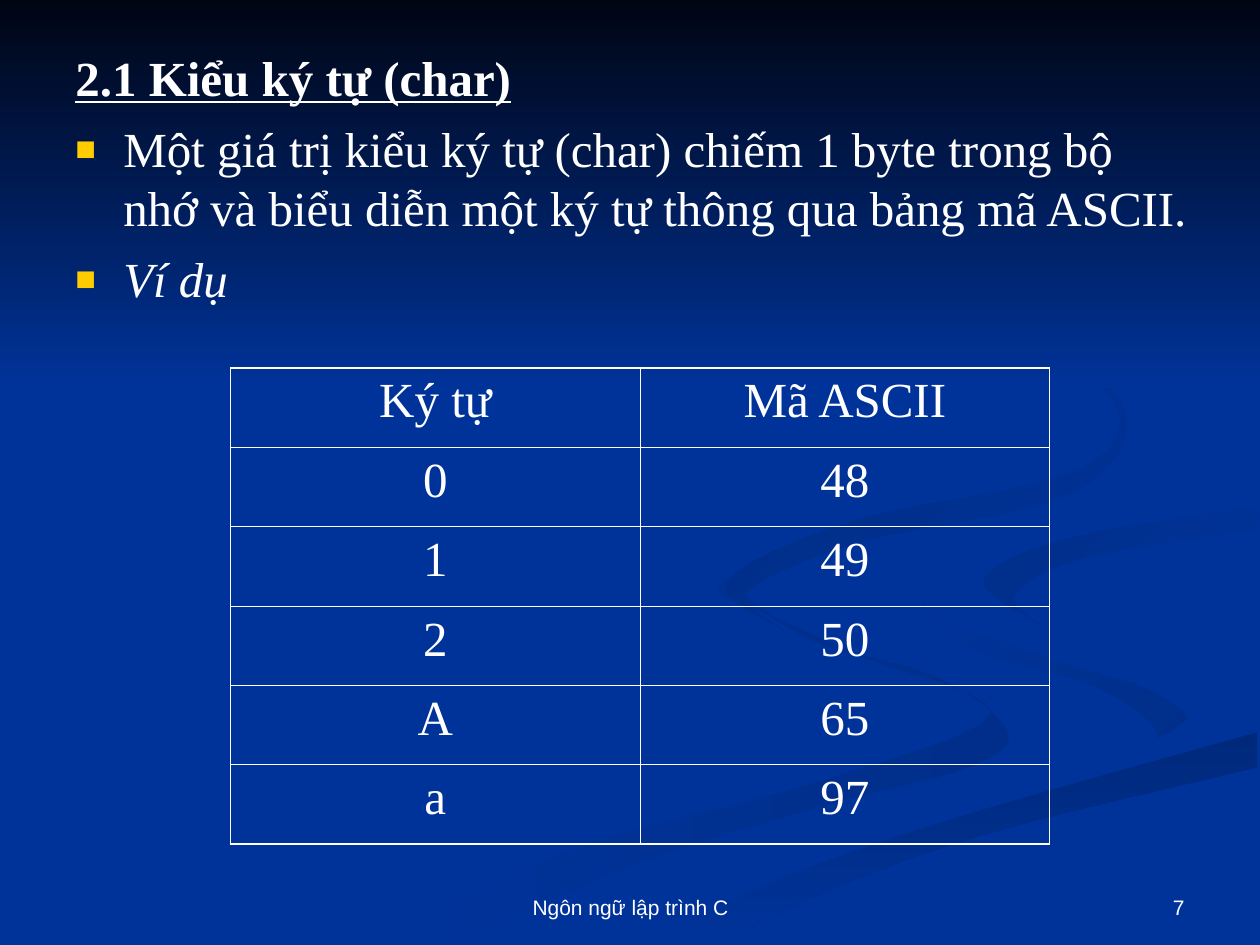
from dataclasses import dataclass

from pptx import Presentation
from pptx.dml.color import RGBColor
from pptx.enum.shapes import MSO_SHAPE
from pptx.enum.text import MSO_ANCHOR, PP_ALIGN
from pptx.oxml import parse_xml
from pptx.oxml.ns import nsdecls
from pptx.util import Inches, Pt

COLORS = {
    "background": "003399",
    "night": "000514",
    "swirl_dark": "002E8A",
    "swirl_deep": "002B81",
    "ribbon": "00297C",
    "text": "FFFFFF",
    "bullet": "FFCC00",
}
SERIF, SANS = "Times New Roman", "Arial"
BODY_SIZE, FOOTER_SIZE = Pt(28), Pt(12)
OUTER_BORDER, INNER_BORDER = Pt(1.08), Pt(0.45)
CURVE_STEPS = 6

Edge = list[tuple[float, float]]


@dataclass
class Swirl:
    start_color: str
    end_color: str
    angle: int  # clockwise degrees
    edges: list[Edge]  # smooth curves, joined by corners


@dataclass
class BodyLine:
    text: str
    bold: bool = False
    italic: bool = False
    underline: bool = False
    bullet: bool = False


@dataclass
class Footer:
    text: str
    left: float
    width: float
    alignment: PP_ALIGN


RIBBON_TOP: Edge = [(5.03, 7.49), (6.3, 6.93), (7.65, 6.47), (9.98, 5.81)]
SWIRLS = [
    Swirl("swirl_dark", "background", 180, [
        [(5.75, 4.59), (6.42, 5.07), (7.45, 5.38), (8, 5.81), (7.69, 6.09), (6.51, 6.4),
         (4.99, 6.87), (3.61, 7.49)],
        [(3, 7.49), (4.58, 6.74), (6.52, 6.2), (7.86, 5.66), (6.79, 5.19), (5.7, 4.7)]]),
    Swirl("swirl_dark", "background", 225, [
        [(7.24, 4.64), (7.58, 4.98), (8.7, 5.3), (9.43, 5.7), (8.94, 6.05)],
        [(8.94, 6.05), (9.18, 5.81), (8.68, 5.44), (7.66, 5.12), (7.24, 4.64)]]),
    Swirl("ribbon", "background", 90, [
        RIBBON_TOP,
        [(9.98, 6.09), (7.85, 6.61), (6.49, 7.1), (5.71, 7.49)]]),
    Swirl("background", "background", 0, [
        RIBBON_TOP,
        [(9.99, 5.38), (8.66, 5.09), (7.81, 4.63), (8.5, 4.27), (9.99, 4.02)],
        [(9.99, 3.87), (8.3, 4.15), (7.25, 4.64), (8.12, 5.15), (9.43, 5.7),
         (7.43, 6.43), (4.77, 7.49)]]),
    Swirl("background", "swirl_dark", 225, [
        [(9.98, 4.02), (8.5, 4.27), (7.81, 4.6), (8.26, 4.96)],
        [(8.26, 4.96), (8.05, 4.72), (8.59, 4.43), (9.98, 4.2)]]),
    Swirl("background", "swirl_deep", 225, [
        [(7.62, 2.33), (8.64, 2.91), (8.94, 3.44), (8.41, 3.96), (6.83, 4.3), (5.93, 4.7), (6.22, 5)],
        [(6.22, 5), (5.77, 4.62), (6.76, 4.14), (8.42, 3.78), (8.89, 3.35), (8.46, 2.79), (7.62, 2.33)]]),
]
BODY = [
    BodyLine("2.1 Kiểu ký tự (char)", bold=True, underline=True),
    BodyLine("Một giá trị kiểu ký tự (char) chiếm 1 byte trong bộ nhớ "
             "và biểu diễn một ký tự thông qua bảng mã ASCII.", bullet=True),
    BodyLine("Ví dụ", italic=True, bullet=True),
]
ASCII_ROWS = [("Ký tự", "Mã ASCII"), *((character, str(ord(character))) for character in "012Aa")]
FOOTERS = [
    Footer("Ngôn ngữ lập trình C", 3.42, 3.17, PP_ALIGN.CENTER),
    Footer("7", 7.17, 2.33, PP_ALIGN.RIGHT),
]


def rgb(name: str) -> RGBColor:
    return RGBColor.from_string(COLORS[name])


def paint(shape, start_color: str, end_color: str, angle: int) -> None:
    shape.shadow.inherit = False
    shape.line.fill.background()
    if start_color == end_color:
        shape.fill.solid()
        shape.fill.fore_color.rgb = rgb(start_color)
        return
    shape.fill.gradient()
    shape.fill.gradient_angle = (360 - angle) % 360
    for stop, color in zip(shape.fill.gradient_stops, (start_color, end_color)):
        stop.color.rgb = rgb(color)


def smooth(edge: Edge) -> Edge:
    """Return a Catmull-Rom curve through the knots of an edge."""
    knots = [edge[0], *edge, edge[-1]]
    curve = [edge[0]]
    for a, b, c, d in zip(knots, knots[1:], knots[2:], knots[3:]):
        for step in range(1, CURVE_STEPS + 1):
            t = step / CURVE_STEPS
            x, y = (q + t / 2 * (r - p + t * (2 * p - 5 * q + 4 * r - s + t * (3 * (q - r) + s - p)))
                    for p, q, r, s in zip(a, b, c, d))
            curve.append((x, y))
    return curve


def draw_swirl(slide, swirl: Swirl) -> None:
    points = [(Inches(x), Inches(y)) for edge in swirl.edges for x, y in smooth(edge)]
    builder = slide.shapes.build_freeform(*points[0])
    builder.add_line_segments(points[1:], close=True)
    paint(builder.convert_to_shape(), swirl.start_color, swirl.end_color, swirl.angle)


def add_text(paragraph, text: str, font_name: str, size: Pt):
    run = paragraph.add_run()
    run.text = text
    run.font.name, run.font.size = font_name, size
    run.font.color.rgb = rgb("text")
    return run


def draw_body(slide) -> None:
    frame = slide.shapes.add_textbox(Inches(0.5), Inches(0.33), Inches(9.08), Inches(4.5)).text_frame
    frame.word_wrap = True
    for index, line in enumerate(BODY):
        paragraph = frame.add_paragraph() if index else frame.paragraphs[0]
        properties = paragraph._p.get_or_add_pPr()
        properties.set("marL", str(Inches(0.38)))
        properties.set("indent", str(-Inches(0.38)))
        if line.bullet:
            for tag in (f'<a:buClr {nsdecls("a")}><a:srgbClr val="{COLORS["bullet"]}"/></a:buClr>',
                        f'<a:buSzPct {nsdecls("a")} val="70000"/>',
                        f'<a:buFont {nsdecls("a")} typeface="{SANS}"/>',
                        f'<a:buChar {nsdecls("a")} char="■"/>'):
                properties.append(parse_xml(tag))
        if index:
            paragraph.space_before = Pt(7)
        font = add_text(paragraph, line.text, SERIF, BODY_SIZE).font
        font.bold, font.italic, font.underline = line.bold, line.italic, line.underline


def set_borders(cell, outer_sides: dict[str, bool]) -> None:
    for index, (side, is_outer) in enumerate(outer_sides.items()):
        width = OUTER_BORDER if is_outer else INNER_BORDER
        cell._tc.get_or_add_tcPr().insert(index, parse_xml(
            f'<a:ln{side} {nsdecls("a")} w="{width}"><a:solidFill>'
            f'<a:srgbClr val="{COLORS["text"]}"/></a:solidFill></a:ln{side}>'))


def draw_ascii_table(slide) -> None:
    rows, columns = len(ASCII_ROWS), len(ASCII_ROWS[0])
    table = slide.shapes.add_table(rows, columns, Inches(1.83), Inches(2.92),
                                   Inches(6.5), Inches(0.63 * rows)).table
    table.first_row = table.horz_banding = False
    for r, values in enumerate(ASCII_ROWS):
        for c, value in enumerate(values):
            cell = table.cell(r, c)
            cell.fill.background()
            set_borders(cell, {"L": c == 0, "R": c == columns - 1, "T": r == 0, "B": r == rows - 1})
            paragraph = cell.text_frame.paragraphs[0]
            paragraph.alignment = PP_ALIGN.CENTER
            add_text(paragraph, value, SERIF, BODY_SIZE)


def draw_footer(slide, footer: Footer) -> None:
    frame = slide.shapes.add_textbox(Inches(footer.left), Inches(6.83),
                                     Inches(footer.width), Inches(0.52)).text_frame
    frame.word_wrap = True
    frame.vertical_anchor = MSO_ANCHOR.BOTTOM
    frame.paragraphs[0].alignment = footer.alignment
    add_text(frame.paragraphs[0], footer.text, SANS, FOOTER_SIZE)


def main() -> None:
    presentation = Presentation()
    presentation.slide_width, presentation.slide_height = Inches(10), Inches(7.5)
    slide = presentation.slides.add_slide(presentation.slide_layouts[6])

    # Background swirls under the night-sky band
    slide.background.fill.solid()
    slide.background.fill.fore_color.rgb = rgb("background")
    for swirl in SWIRLS:
        draw_swirl(slide, swirl)
    band = slide.shapes.add_shape(MSO_SHAPE.RECTANGLE, 0, 0, Inches(10), Inches(3.08))
    paint(band, "night", "background", 90)

    # Content and footer
    draw_body(slide)
    draw_ascii_table(slide)
    for footer in FOOTERS:
        draw_footer(slide, footer)
    presentation.save("out.pptx")


if __name__ == "__main__":
    main()
